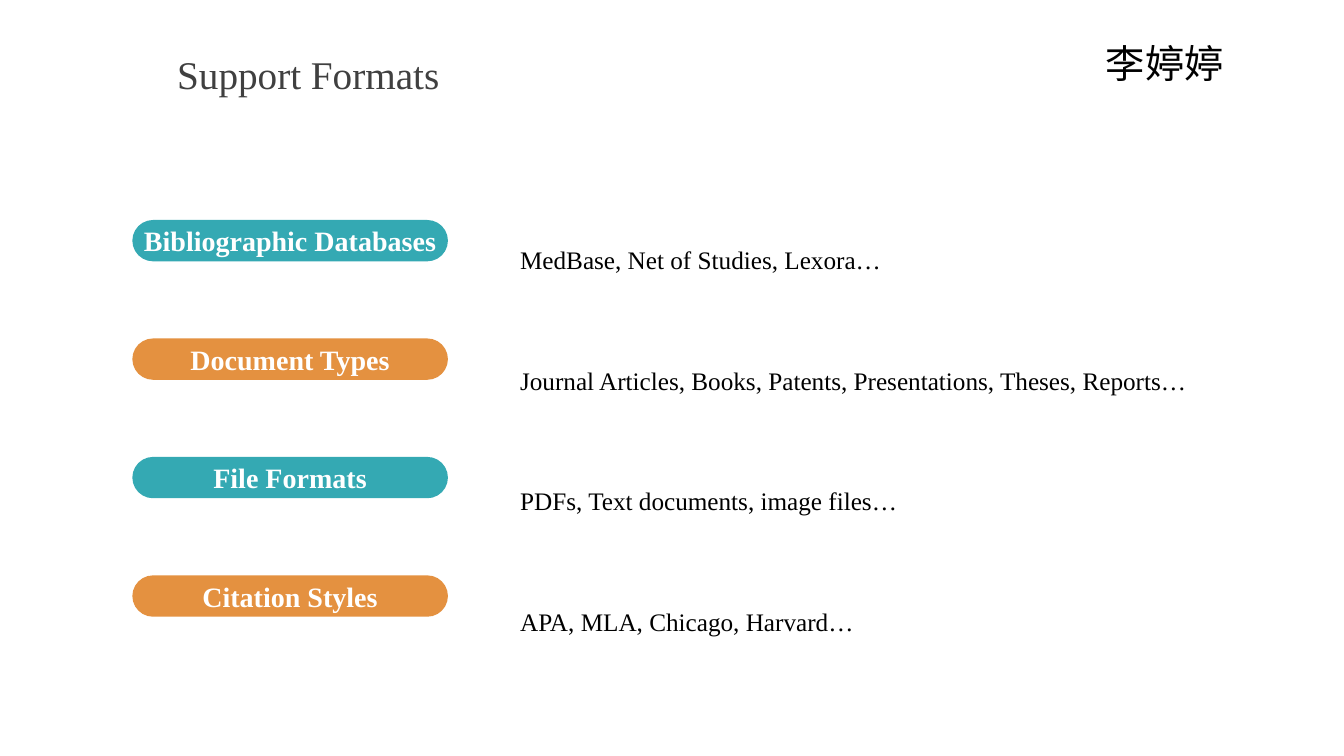
from pptx import Presentation
from pptx.dml.color import RGBColor
from pptx.enum.shapes import MSO_SHAPE
from pptx.enum.text import MSO_ANCHOR, MSO_AUTO_SIZE, PP_ALIGN
from pptx.util import Inches, Pt

TEAL = RGBColor(0x34, 0xA9, 0xB3)
ORANGE = RGBColor(0xE4, 0x91, 0x40)
GREY = RGBColor(0x40, 0x40, 0x40)
BLACK = RGBColor(0x00, 0x00, 0x00)
WHITE = RGBColor(0xFF, 0xFF, 0xFF)
FONT = "Times New Roman"

FORMATS = [
    ("Bibliographic Databases", "MedBase, Net of Studies, Lexora…", TEAL),
    ("Document Types", "Journal Articles, Books, Patents, Presentations, Theses, Reports…", ORANGE),
    ("File Formats", "PDFs, Text documents, image files…", TEAL),
    ("Citation Styles", "APA, MLA, Chicago, Harvard…", ORANGE),
]

presentation = Presentation()
presentation.slide_width = Inches(13.33)
presentation.slide_height = Inches(7.5)
slide = presentation.slides.add_slide(presentation.slide_layouts[6])
column = presentation.slide_width / 100
row = presentation.slide_height / 100


def place(left, top, width, height):
    return [int(left * column), int(top * row), int(width * column), int(height * row)]


def add_run(paragraph, text, size, color, bold=False):
    run = paragraph.add_run()
    run.text = text
    run.font.name = FONT
    run.font.size = Pt(size)
    run.font.bold = bold
    run.font.color.rgb = color


for text, color, area in [
    ("Support Formats", GREY, place(12.45, 6, 21.23, 7.6)),
    ("李婷婷", BLACK, place(81.55, 4.53, 10.35, 7.6)),
]:
    heading = slide.shapes.add_textbox(*area)
    heading.text_frame.word_wrap = False
    heading.text_frame.auto_size = MSO_AUTO_SIZE.SHAPE_TO_FIT_TEXT
    add_run(heading.text_frame.paragraphs[0], text, 28, color)

examples_box = slide.shapes.add_textbox(*place(37.96, 19.6, 52.29, 62.8))
examples_frame = examples_box.text_frame
examples_frame.word_wrap = True
examples_frame.auto_size = MSO_AUTO_SIZE.SHAPE_TO_FIT_TEXT

for index, (label, examples, color) in enumerate(FORMATS):
    paragraph = examples_frame.add_paragraph() if index else examples_frame.paragraphs[0]
    paragraph.alignment = PP_ALIGN.JUSTIFY
    paragraph.line_spacing = 4.0
    add_run(paragraph, examples, 18, BLACK)

    pill = slide.shapes.add_shape(
        MSO_SHAPE.ROUNDED_RECTANGLE, *place(9.85, 29.1 + index * 15.67, 23.48, 5.47)
    )
    pill.adjustments[0] = 0.5
    pill.shadow.inherit = False
    pill.fill.solid()
    pill.fill.fore_color.rgb = color
    pill.line.fill.background()
    frame = pill.text_frame
    frame.margin_left = frame.margin_right = frame.margin_top = frame.margin_bottom = 0
    frame.word_wrap = False
    frame.vertical_anchor = MSO_ANCHOR.MIDDLE
    frame.paragraphs[0].alignment = PP_ALIGN.CENTER
    add_run(frame.paragraphs[0], label, 20, WHITE, bold=True)

presentation.save("out.pptx")
